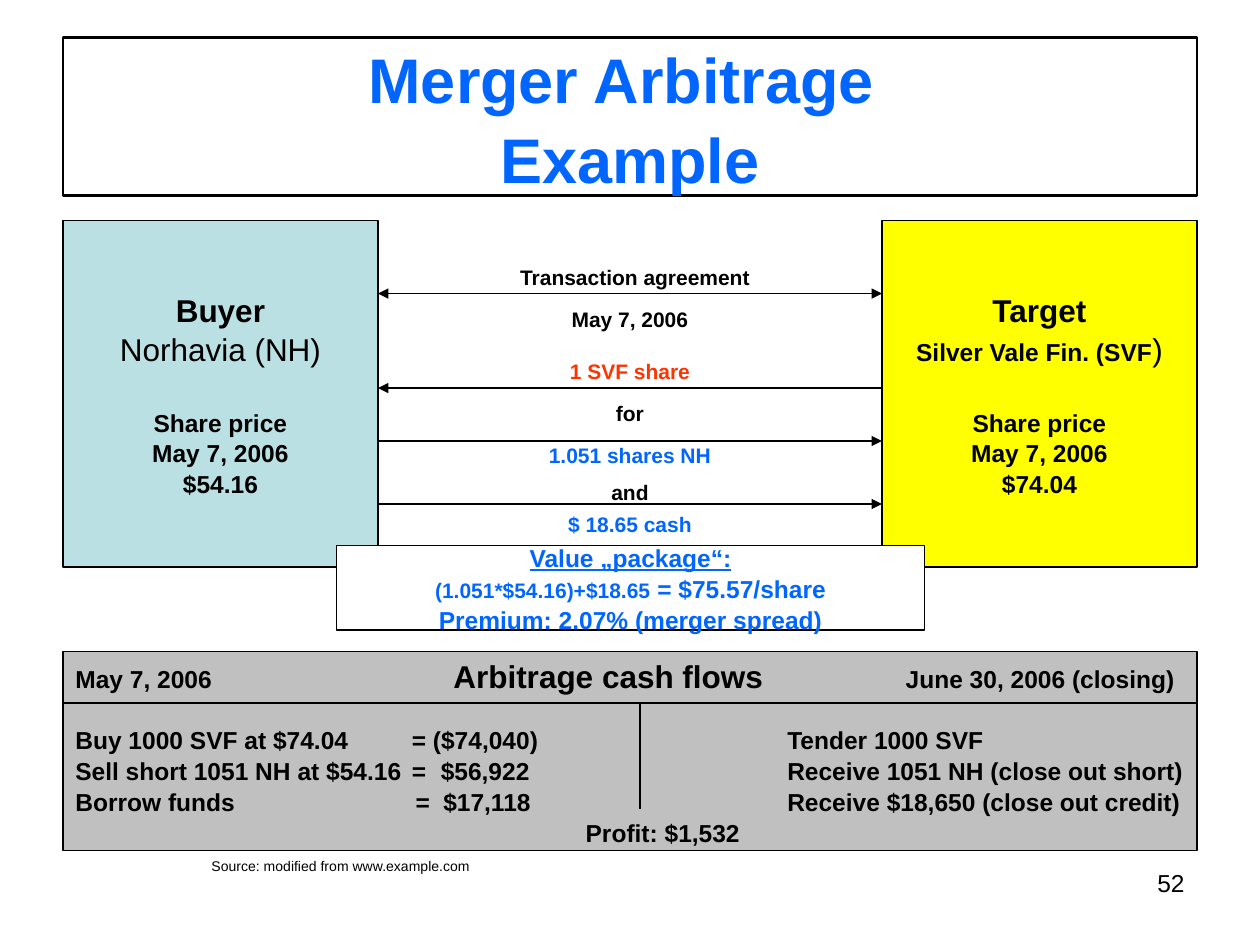
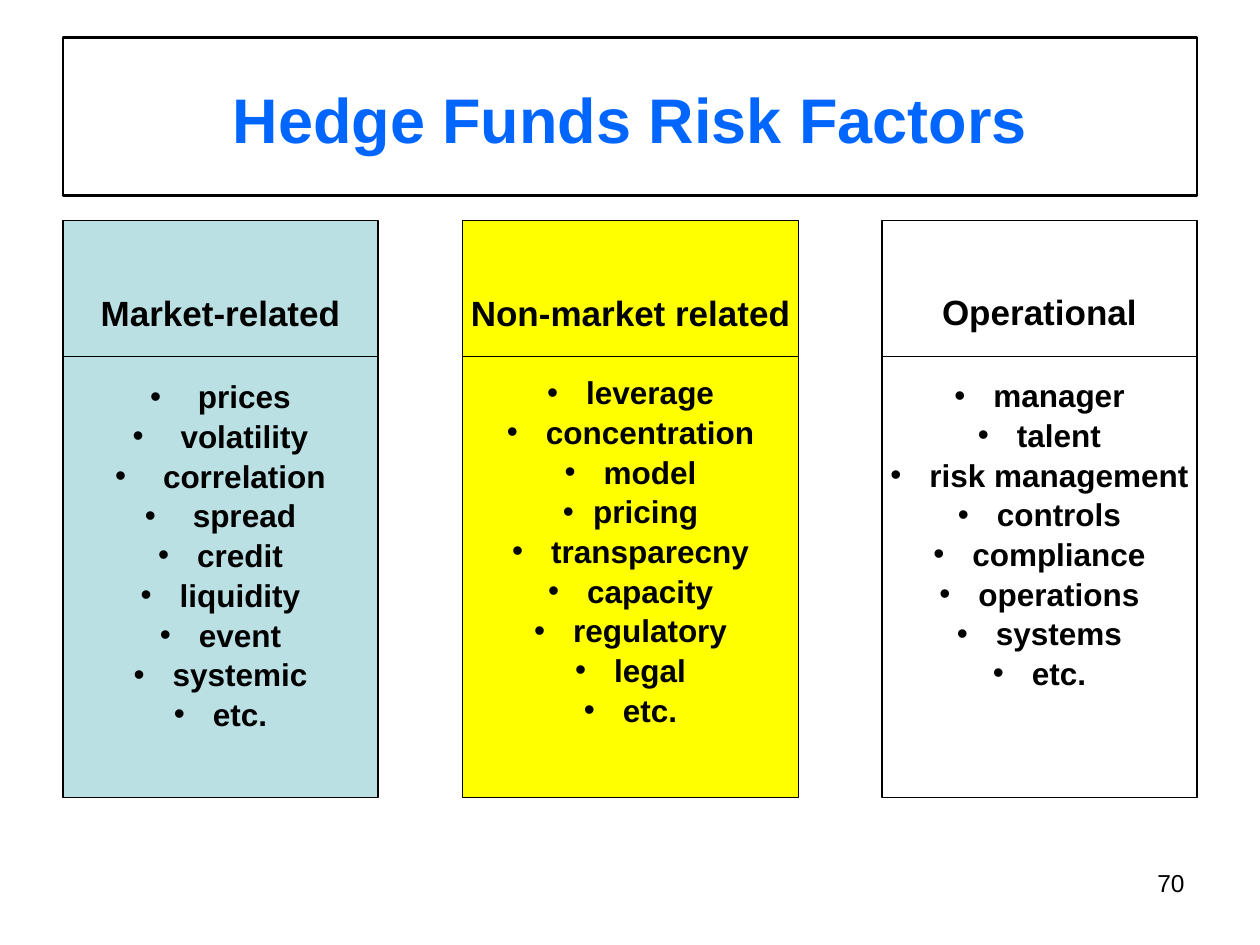
from lxml import etree
from pptx import Presentation
from pptx.dml.color import RGBColor
from pptx.enum.shapes import MSO_CONNECTOR, MSO_SHAPE
from pptx.enum.text import MSO_ANCHOR, MSO_AUTO_SIZE, PP_ALIGN
from pptx.oxml.ns import qn
from pptx.util import Inches, Pt

LEFT, CENTER, RIGHT = PP_ALIGN.LEFT, PP_ALIGN.CENTER, PP_ALIGN.RIGHT
MIDDLE, TOP = MSO_ANCHOR.MIDDLE, MSO_ANCHOR.TOP
NO_AUTOFIT = MSO_AUTO_SIZE.NONE
RECTANGLE, STRAIGHT = MSO_SHAPE.RECTANGLE, MSO_CONNECTOR.STRAIGHT

COLORS = {
    "ink": "000000",
    "blue": "0066FF",
    "red": "FF3300",
    "teal": "BBE0E3",
    "yellow": "FFFF00",
    "grey": "C0C0C0",
    "white": "FFFFFF",
}
FONT = "Arial"
LINE_SPACING = 1.05
BLANK_LINE = {14: 16.9, 18: 21.7, 20: 24.1}


def color(name):
    return RGBColor.from_string(COLORS[name])


class SlideBuilder:
    def __init__(self, deck):
        self.deck = deck
        self.slide = None

    def start(self, title_lines, number):
        self.slide = self.deck.slides.add_slide(self.deck.slide_layouts[5])
        title = self.slide.shapes.title
        title.left, title.top = Inches(0.5), Inches(0.3)
        title.width, title.height = Inches(9), Inches(1.25)
        title.line.color.rgb = color("ink")
        title.line.width = Pt(1.5)
        frame = title.text_frame
        frame.auto_size = NO_AUTOFIT
        frame.word_wrap = True
        frame.vertical_anchor = MIDDLE
        para = frame.paragraphs[0]
        self.align(para, CENTER)
        for index, line in enumerate(title_lines):
            if index:
                para.add_line_break()
            self.span(para, line, 36, True, "blue")
        self.label(7.17, 6.83, 2.33, 0.52, str(number), 14, bold=False, align=RIGHT)

    def align(self, para, align):
        para.alignment = align
        para.line_spacing = LINE_SPACING

    def span(self, para, text, size=14, bold=True, ink="ink", underline=False):
        span = para.add_run()
        span.text = text
        font = span.font
        font.name, font.size, font.bold = FONT, Pt(size), bold
        font.color.rgb = color(ink)
        if underline:
            font.underline = True

    def para(self, frame, spans, align=CENTER, before=0):
        first = frame.paragraphs[0]
        para = frame.add_paragraph() if first.runs else first
        self.align(para, align)
        para.space_before = Pt(before)
        for span in spans:
            self.span(para, *span)
        return para

    def label(self, left, top, width, height, text, size=12, bold=True,
              ink="ink", align=CENTER):
        box = self.slide.shapes.add_textbox(
            Inches(left), Inches(top), Inches(width), Inches(height))
        box.text_frame.word_wrap = True
        box.text_frame.vertical_anchor = TOP
        self.para(box.text_frame, [(text, size, bold, ink)], align)

    def panel(self, left, top, width, height, fill, wrap=False):
        box = self.slide.shapes.add_shape(
            RECTANGLE, Inches(left), Inches(top), Inches(width), Inches(height))
        box.shadow.inherit = False
        box.fill.solid()
        box.fill.fore_color.rgb = color(fill)
        box.line.color.rgb = color("ink")
        box.line.width = Pt(0.75)
        box.text_frame.word_wrap = wrap
        box.text_frame.vertical_anchor = MIDDLE
        return box.text_frame

    def line(self, x1, y1, x2, y2, heads=()):
        line = self.slide.shapes.add_connector(
            STRAIGHT, Inches(x1), Inches(y1), Inches(x2), Inches(y2))
        line.line.color.rgb = color("ink")
        line.line.width = Pt(0.75)
        outline = line.line._get_or_add_ln()
        for head in heads:
            etree.SubElement(outline, qn(f"a:{head}"), type="triangle")
        etree.SubElement(line._element.spPr, qn("a:effectLst"))

    def bullet(self, para, gap):
        properties = para._p.get_or_add_pPr()
        properties.set("marL", str(Inches(gap)))
        properties.set("indent", str(-Inches(gap)))
        etree.SubElement(properties, qn("a:buFont"), typeface=FONT)
        etree.SubElement(properties, qn("a:buChar"), char="•")

    def tabs(self, para, stops):
        properties = para._p.get_or_add_pPr()
        tab_list = etree.SubElement(properties, qn("a:tabLst"))
        for stop in stops:
            etree.SubElement(tab_list, qn("a:tab"), pos=str(Inches(stop)), algn="l")


def company(builder, left, fill, role, name_spans, price):
    frame = builder.panel(left, 1.75, 2.5, 2.75, fill)
    builder.para(frame, [(role, 18)])
    builder.para(frame, name_spans)
    builder.para(frame, [("Share price",)], before=BLANK_LINE[18])
    builder.para(frame, [("May 7, 2006",)])
    builder.para(frame, [(price,)])


def cash_flows(builder):
    frame = builder.panel(0.5, 5.17, 9, 1.58, "grey", wrap=True)
    frame.margin_right = 0
    header = builder.para(frame, [
        ("May 7, 2006\t",), ("Arbitrage cash flows", 18),
        ("\tJune 30, 2006 (closing)",)], LEFT)
    builder.tabs(header, [3, 6.59])
    rows = [
        ("Buy 1000 SVF at $74.04\t= ($74,040)\tTender 1000 SVF", [2.67, 5.65]),
        ("Sell short 1051 NH at $54.16\t=\t$56,922\tReceive 1051 NH (close out short)",
         [2.67, 2.9, 5.65]),
        ("Borrow funds\t=\t$17,118\tReceive $18,650 (close out credit)",
         [2.7, 2.92, 5.65]),
        ("\tProfit: $1,532", [4.05]),
    ]
    for index, (text, stops) in enumerate(rows):
        before = 0 if index else BLANK_LINE[14]
        builder.tabs(builder.para(frame, [(text,)], LEFT, before), stops)
    builder.line(0.5, 5.58, 9.5, 5.58)
    builder.line(5.08, 5.58, 5.08, 6.42)


def merger_slide(builder):
    builder.start(["Merger Arbitrage ", "Example"], 52)
    company(builder, 0.5, "teal", "Buyer", [("Norhavia (NH)", 18, False)], "$54.16")
    company(builder, 7, "yellow", "Target",
            [("Silver Vale Fin. (SVF",), (")", 18, False)], "$74.04")
    for y, heads in [(2.33, ("headEnd", "tailEnd")), (3.08, ("headEnd",)),
                     (3.5, ("tailEnd",)), (4, ("tailEnd",))]:
        builder.line(3, y, 7, y, heads)
    builder.label(3.08, 2.04, 3.92, 0.3, "Transaction agreement")
    for top, text, ink in [
        (2.37, "May 7, 2006", "ink"),
        (2.79, "1 SVF share", "red"),
        (3.12, "for", "ink"),
        (3.45, "1.051 shares NH", "blue"),
        (3.75, "and", "ink"),
        (4, "$ 18.65 cash", "blue"),
    ]:
        builder.label(3, top, 4, 0.3, text, ink=ink)
    package = builder.panel(2.67, 4.33, 4.67, 0.67, "white")
    builder.para(package, [("Value „package“:", 14, True, "blue", True)])
    builder.para(package, [("(1.051*$54.16)+$18.65", 12, True, "blue"),
                           (" = $75.57/share", 14, True, "blue")])
    builder.para(package, [("Premium: 2.07% (merger spread)", 14, True, "blue")])
    cash_flows(builder)
    builder.label(1.58, 6.75, 2.83, 0.24, "Source: modified from www.example.com",
                  8, bold=False, align=LEFT)


def risk_slide(builder):
    builder.start(["Hedge Funds Risk Factors"], 70)
    narrow, normal, wide = 0.24, 0.31, 0.38
    columns = [
        (0.5, 2.5, "teal", "Market-related", 20, 0.08, 0.05,
         ["prices", "volatility", "correlation", "spread", "credit", "liquidity",
          "event", "systemic", "etc."]),
        (3.67, 2.67, "yellow", "Non-market related", 18, 0.05, 0.05,
         ["leverage", "concentration", "model", "pricing", "transparecny",
          "capacity", "regulatory", "legal", "etc."]),
        (7, 2.5, "white", "Operational", 20, 0.05, 0.35,
         ["manager", "talent", "risk management", "controls", "compliance",
          "operations", "systems", "etc."]),
    ]
    gaps = dict.fromkeys(["prices", "volatility", "correlation", "spread"], wide)
    gaps["pricing"] = narrow
    for left, width, fill, heading, gap_size, margin_top, margin_bottom, factors in columns:
        frame = builder.panel(left, 1.75, width, 4.58, fill)
        frame.margin_top, frame.margin_bottom = Inches(margin_top), Inches(margin_bottom)
        builder.para(frame, [(heading, 20)])
        for index, factor in enumerate(factors):
            before = 0 if index else BLANK_LINE[gap_size]
            para = builder.para(frame, [(factor, 18)], before=before)
            builder.bullet(para, gaps.get(factor, normal))
        builder.line(left, 2.83, left + width, 2.83)


def main():
    deck = Presentation()
    deck.slide_width, deck.slide_height = Inches(10), Inches(7.5)
    builder = SlideBuilder(deck)
    merger_slide(builder)
    risk_slide(builder)
    deck.save("out.pptx")


if __name__ == "__main__":
    main()
